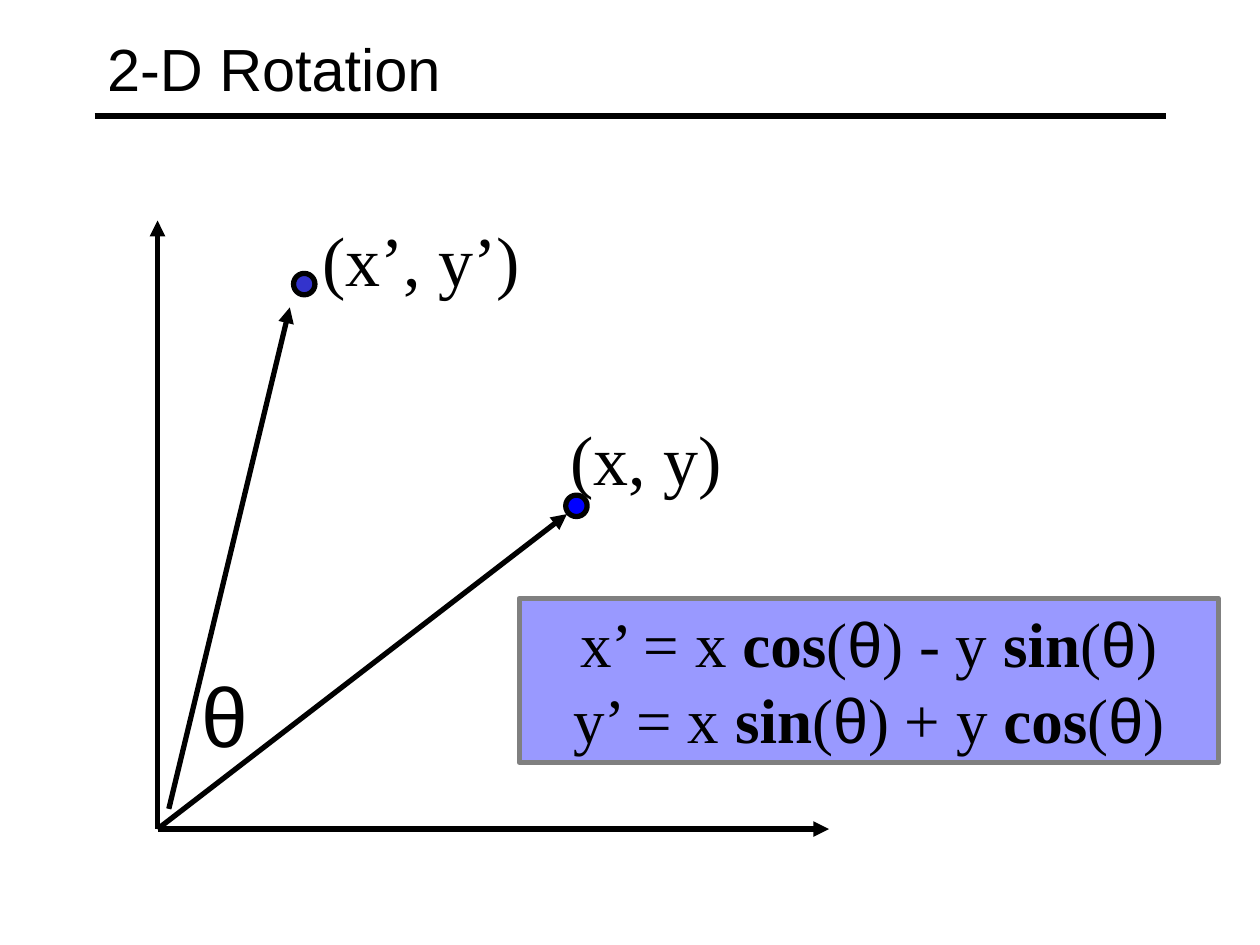
from lxml.etree import SubElement
from pptx import Presentation
from pptx.dml.color import RGBColor
from pptx.enum.shapes import MSO_CONNECTOR, MSO_SHAPE
from pptx.enum.text import MSO_ANCHOR, MSO_AUTO_SIZE, PP_ALIGN
from pptx.oxml.ns import qn
from pptx.util import Inches, Pt


def color(value):
    return RGBColor.from_string(value)


class RotationSlide:
    INK = "000000"
    SANS = "Arial"
    SERIF = "Times New Roman"
    STROKE = Pt(3)

    def __init__(self, deck):
        self.slide = deck.slides.add_slide(deck.slide_layouts[5])

    def style(self, font, size, face):
        font.size = Pt(size)
        font.name = face
        font.color.rgb = color(self.INK)

    def title(self, text, left, top, width, height):
        heading = self.slide.shapes.title
        heading.left, heading.top = Inches(left), Inches(top)
        heading.width, heading.height = Inches(width), Inches(height)
        frame = heading.text_frame
        frame.text = text
        frame.auto_size = MSO_AUTO_SIZE.NONE
        frame.vertical_anchor = MSO_ANCHOR.MIDDLE
        frame.paragraphs[0].alignment = PP_ALIGN.LEFT
        self.style(frame.paragraphs[0].font, 34, self.SANS)

    def line(self, start, end, arrow=True):
        stroke = self.slide.shapes.add_connector(
            MSO_CONNECTOR.STRAIGHT, *map(Inches, start + end))
        stroke.line.color.rgb = color(self.INK)
        stroke.line.width = self.STROKE
        if arrow:
            SubElement(stroke.line._get_or_add_ln(), qn("a:tailEnd"), type="triangle")
        SubElement(stroke._element.spPr, qn("a:effectLst"))

    def shape(self, preset, left, top, width, height, fill, outline):
        figure = self.slide.shapes.add_shape(
            preset, Inches(left), Inches(top), Inches(width), Inches(height))
        figure.shadow.inherit = False
        figure.fill.solid()
        figure.fill.fore_color.rgb = color(fill)
        figure.line.color.rgb = color(outline)
        figure.line.width = self.STROKE
        return figure

    def point(self, left, top, fill):
        self.shape(MSO_SHAPE.OVAL, left, top, 0.17, 0.17, fill, self.INK)

    def label(self, text, left, top, width, height, size, face, align=PP_ALIGN.LEFT):
        box = self.slide.shapes.add_textbox(
            Inches(left), Inches(top), Inches(width), Inches(height))
        frame = box.text_frame
        frame.word_wrap = False
        frame.auto_size = MSO_AUTO_SIZE.SHAPE_TO_FIT_TEXT
        frame.vertical_anchor = MSO_ANCHOR.MIDDLE
        frame.text = text
        frame.paragraphs[0].alignment = align
        self.style(frame.paragraphs[0].font, size, face)

    def formulas(self, equations, left, top, width, height):
        panel = self.shape(MSO_SHAPE.RECTANGLE, left, top, width, height, "9999FF", "808080")
        frame = panel.text_frame
        frame.word_wrap = True
        frame.vertical_anchor = MSO_ANCHOR.MIDDLE
        for index, terms in enumerate(equations):
            equation = frame.paragraphs[0] if index == 0 else frame.add_paragraph()
            equation.alignment = PP_ALIGN.CENTER
            for term in terms:
                run = equation.add_run()
                run.text = term
                self.style(run.font, 36, self.SANS if term == "θ" else self.SERIF)
                run.font.bold = term in ("cos", "sin")


def main():
    deck = Presentation()
    deck.slide_width, deck.slide_height = Inches(10), Inches(7.5)
    page = RotationSlide(deck)

    page.line((0.75, 0.92), (9.25, 0.92), arrow=False)
    page.title("2-D Rotation", 0.75, 0.08, 8.5, 0.92)

    origin = (1.25, 6.58)
    page.point(2.33, 2.17, "3333CC")
    page.line(origin, (1.25, 1.75))
    page.line(origin, (6.58, 6.58))
    page.point(4.49, 3.93, "0000FF")
    page.line(origin, (4.5, 4.08))
    page.line((1.34, 6.42), (2.3, 2.44))

    page.label("θ", 1.5, 5.22, 0.54, 0.9, 48, page.SANS, PP_ALIGN.CENTER)
    page.label("(x, y)", 4.43, 3.25, 1.4, 0.77, 40, page.SERIF)
    page.label("(x’, y’)", 2.46, 1.67, 1.77, 0.77, 40, page.SERIF)

    page.formulas([
        ("x’ = x ", "cos", "(", "θ", ") - y ", "sin", "(", "θ", ")"),
        ("y’ = x ", "sin", "(", "θ", ") + y ", "cos", "(", "θ", ")"),
    ], 4.12, 4.75, 5.55, 1.3)

    deck.save("out.pptx")


if __name__ == "__main__":
    main()
